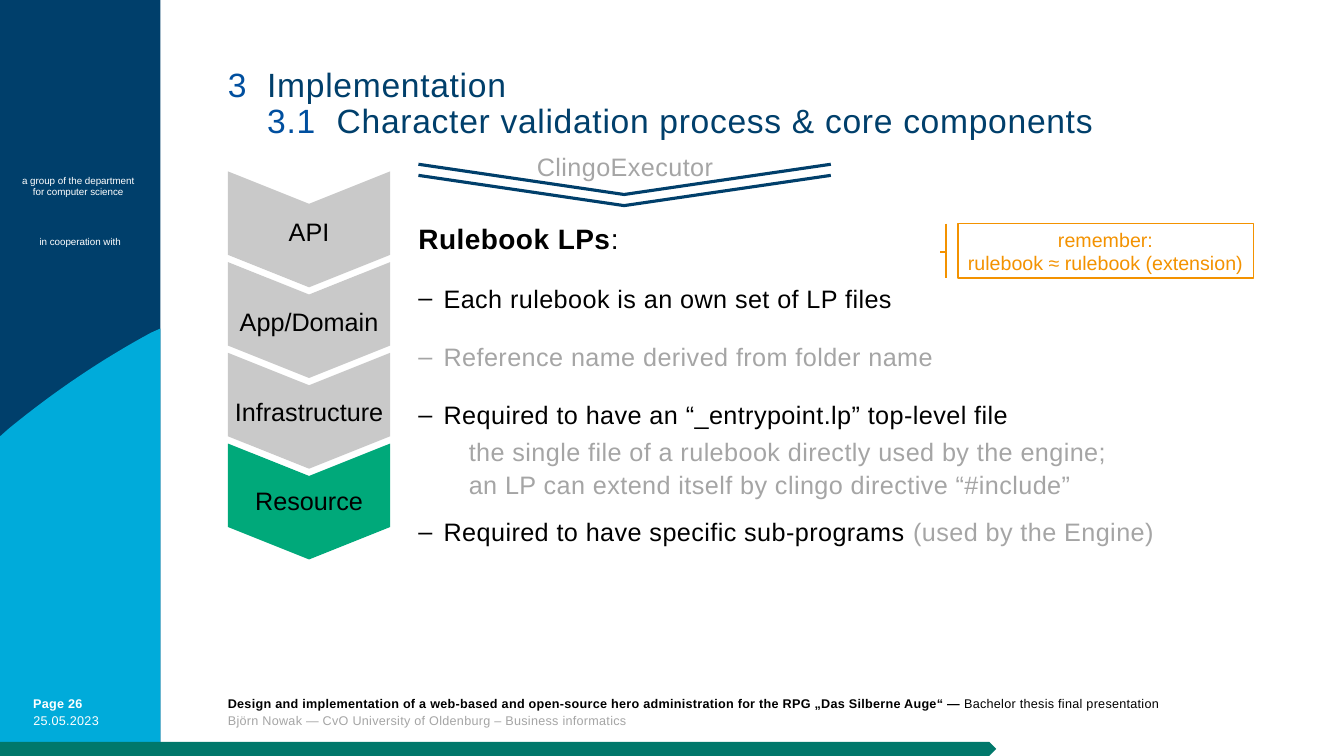
"""Build the rulebook slide of a thesis presentation about character validation."""
from dataclasses import dataclass
from typing import Optional

import lxml.etree
import pptx
import pptx.dml.color
import pptx.enum.shapes
import pptx.enum.text
import pptx.oxml.ns
import pptx.util

Inches = pptx.util.Inches
Pt = pptx.util.Pt
Shape = pptx.enum.shapes.MSO_SHAPE
Align = pptx.enum.text.PP_ALIGN
Anchor = pptx.enum.text.MSO_ANCHOR


@dataclass(frozen=True)
class Theme:
    font: str = "Arial"
    navy: str = "003F6B"
    blue: str = "004F9F"
    cyan: str = "00ABDA"
    teal: str = "00786B"
    green: str = "00A97A"
    orange: str = "F39200"
    silver: str = "C9C9C9"
    grey: str = "A5A5A5"
    black: str = "000000"
    white: str = "FFFFFF"
    title: float = 24
    heading: float = 20
    body: float = 18
    callout: float = 14
    footer: float = 9
    sidebar: float = 7


THEME = Theme()


@dataclass(frozen=True)
class Span:
    text: str
    color: str = THEME.black
    bold: bool = False


@dataclass(frozen=True)
class Para:
    spans: tuple[Span, ...]
    size: float = THEME.body
    tracking: int = 0
    align: Align = Align.LEFT
    line: object = 1.0
    before: float = 0
    after: float = 0
    bullet: str = ""
    tabs: tuple[float, ...] = ()


@dataclass(frozen=True)
class Block:
    at: tuple[float, float, float, float]
    paras: tuple[Para, ...]
    margins: tuple[float, float] = (0, 0)
    wrap: bool = True


@dataclass(frozen=True)
class Stage:
    label: str
    fill: str


def color(value: str) -> pptx.dml.color.RGBColor:
    """Turn a hex value into a colour."""
    return pptx.dml.color.RGBColor.from_string(value)


def assign(target, values: dict) -> None:
    """Set every attribute named in the values."""
    for name, value in values.items():
        setattr(target, name, value)


def place(box, at: tuple[float, ...]) -> None:
    """Move and size a box."""
    assign(box, dict(zip(("left", "top", "width", "height"), map(Inches, at))))


def add_mark(paragraph, item: Para) -> None:
    """Add the bullet and tab stops of a paragraph."""
    properties = paragraph._p.get_or_add_pPr()
    qn = pptx.oxml.ns.qn
    if item.bullet:
        properties.set("marL", str(Inches(0.25)))
        properties.set("indent", str(Inches(-0.25)))
        lxml.etree.SubElement(properties, qn("a:buFont")).set("typeface", THEME.font)
        lxml.etree.SubElement(properties, qn("a:buChar")).set("char", item.bullet)
    if item.tabs:
        stops = lxml.etree.SubElement(properties, qn("a:tabLst"))
        for position in item.tabs:
            stop = lxml.etree.SubElement(stops, qn("a:tab"))
            stop.set("pos", str(Inches(position)))
            stop.set("algn", "l")


def write(box, paras: tuple[Para, ...], margins: tuple[float, float] = (0, 0),
          wrap: bool = True, anchor: Anchor = Anchor.TOP) -> None:
    """Fill a box with formatted paragraphs."""
    frame = box.text_frame
    side, edge = map(Inches, margins)
    assign(frame, {"word_wrap": wrap, "vertical_anchor": anchor,
                   "auto_size": pptx.enum.text.MSO_AUTO_SIZE.NONE,
                   "margin_left": side, "margin_right": side,
                   "margin_top": edge, "margin_bottom": edge})
    for index, item in enumerate(paras):
        paragraph = frame.add_paragraph() if index else frame.paragraphs[0]
        add_mark(paragraph, item)
        assign(paragraph, {"alignment": item.align, "line_spacing": item.line,
                           "space_before": Pt(item.before), "space_after": Pt(item.after)})
        for span in item.spans:
            run = paragraph.add_run()
            run.text = span.text
            assign(run.font, {"name": THEME.font, "size": Pt(item.size), "bold": span.bold})
            run.font.color.rgb = color(span.color)
            run._r.get_or_add_rPr().set("spc", str(item.tracking))


def paint(shape, fill: Optional[str] = None, line: Optional[str] = None, width: float = 1) -> None:
    """Set the fill and line of a shape and drop its shadow."""
    shape.shadow.inherit = False
    if fill:
        shape.fill.solid()
        shape.fill.fore_color.rgb = color(fill)
    else:
        shape.fill.background()
    if line:
        shape.line.color.rgb = color(line)
        shape.line.width = Pt(width)
    else:
        shape.line.fill.background()


def add_preset(page, kind: Shape, at: tuple[float, ...], **look):
    """Add a painted preset shape."""
    shape = page.shapes.add_shape(kind, *map(Inches, at))
    paint(shape, **look)
    return shape


def add_outline(page, points: list[tuple[float, float]], closed: bool, **look) -> None:
    """Add a painted outline through points given in inches."""
    corners = [(Inches(x), Inches(y)) for x, y in points]
    builder = page.shapes.build_freeform(*corners[0])
    builder.add_line_segments(corners[1:], close=closed)
    paint(builder.convert_to_shape(), **look)


def bezier(controls: tuple[tuple[float, float], ...], steps: int = 16) -> list[tuple[float, float]]:
    """Return points along a cubic curve."""
    weights = [((1 - t) ** 3, 3 * t * (1 - t) ** 2, 3 * t * t * (1 - t), t ** 3)
               for t in (step / steps for step in range(steps + 1))]
    return [tuple(sum(w * point[axis] for w, point in zip(row, controls)) for axis in (0, 1))
            for row in weights]


def centred(text: str, size: float, ink: str, tracking: int = 0) -> Para:
    """Return a centred paragraph of one span."""
    return Para((Span(text, ink),), size, tracking, Align.CENTER)


def footer(*spans: Span) -> Para:
    """Return a footer paragraph."""
    return Para(spans, THEME.footer, 20, line=Pt(12))


def item(*spans: Span, before: float = 0) -> Para:
    """Return a bulleted body paragraph."""
    return Para(spans, THEME.body, 30, line=1.1, before=before, after=18, bullet="‒")


def note(text: str) -> Para:
    """Return a grey explanatory paragraph."""
    return Para((Span(text, THEME.grey),), THEME.body, 30, line=1.1)


def heading(number: str, text: str) -> Para:
    """Return a numbered title paragraph."""
    return Para((Span(number, THEME.blue), Span("\t" + text, THEME.navy)),
                THEME.title, 50, line=0.9, tabs=(0.39, 1.08))


STAGES = (Stage("API", THEME.silver), Stage("App/Domain", THEME.silver),
          Stage("Infrastructure", THEME.silver), Stage("Resource", THEME.green))
TITLE = (heading("3", "Implementation"),
         heading("\t3.1", "Character validation process & core components"))
REMINDER = tuple(centred(text, THEME.callout, THEME.orange)
                 for text in ("remember:", "rulebook ≈ rulebook (extension)"))
BLOCKS = (
    Block((0.33, 6.89, 1.14, 0.17), (footer(Span("Page 26", THEME.white, True)),), wrap=False),
    Block((0.33, 7.06, 0.98, 0.23), (footer(Span("25.05.2023", THEME.white)),), wrap=False),
    Block((2.26, 6.89, 9.41, 0.4), (
        footer(Span("Design and implementation of a web-based and open-source hero "
                    "administration for the RPG „Das Silberne Auge“ — ", bold=True),
               Span("Bachelor thesis final presentation")),
        footer(Span("Björn Nowak — CvO University of Oldenburg – Business informatics",
                    THEME.grey))), wrap=False),
    Block((0, 2.29, 1.59, 0.22), (centred("in cooperation with", THEME.sidebar, THEME.white),),
          (0.1, 0.05)),
    Block((-0.02, 1.68, 1.59, 0.34),
          tuple(centred(text, THEME.sidebar, THEME.white)
                for text in ("a group of the department", "for computer science")), (0.1, 0.05)),
    Block((4.15, 1.5, 4.1, 0.32), (centred("ClingoExecutor", THEME.body, THEME.grey, 30),)),
    Block((4.15, 2.16, 8.5, 3.56), (
        Para((Span("Rulebook LPs", bold=True), Span(":")), THEME.heading, 30, line=1.1, after=18),
        item(Span("Each rulebook is an own set of LP files")),
        item(Span("Reference name derived from folder name", THEME.grey)),
        item(Span("Required to have an “_entrypoint.lp” top-level file")),
        item(Span("Required to have specific sub-programs "),
             Span("(used by the Engine)", THEME.grey), before=41.5))),
    Block((4.65, 4.3, 6.67, 0.75), (
        note("the single file of a rulebook directly used by the engine;"),
        note("an LP can extend itself by clingo directive “#include”"))),
)


def main() -> None:
    """Draw the slide and save the deck."""
    deck = pptx.Presentation()
    assign(deck, {"slide_width": Inches(13.33), "slide_height": Inches(7.5)})
    page = deck.slides.add_slide(deck.slide_layouts[5])
    place(page.shapes.title, (2.26, 0.68, 9.41, 0.83))
    write(page.shapes.title, TITLE)

    add_preset(page, Shape.RECTANGLE, (0, 0, 1.59, 7.5), fill=THEME.navy)
    wave = bezier(((0.09, 4.25), (0.53, 3.89), (1, 3.57), (1.5, 3.3)))
    add_outline(page, [(1.59, 3.26), (1.59, 7.5), (0, 7.5), (0, 4.33), *wave], True,
                fill=THEME.cyan)
    add_preset(page, Shape.PENTAGON, (0, 7.36, 9.88, 0.14), fill=THEME.teal)

    for index, stage in enumerate(STAGES):
        chevron = add_preset(page, Shape.CHEVRON, (2.49, 1.47 + 0.9 * index, 1.15, 1.61),
                             fill=stage.fill)
        chevron.rotation = 90
        chevron.adjustments[0] = 0.28
    for index, stage in enumerate(STAGES):
        label = page.shapes.add_textbox(*map(Inches, (2.22, 2.1 + 0.89 * index, 1.69, 0.4)))
        write(label, (centred(stage.label, THEME.body, THEME.black),), (0.1, 0.05))

    for top in (1.63, 1.74):
        add_outline(page, [(4.15, top), (6.19, top + 0.3), (8.24, top)], False,
                    line=THEME.navy, width=2.25)

    for block in BLOCKS:
        box = page.shapes.add_textbox(*map(Inches, block.at))
        write(box, block.paras, block.margins, block.wrap)

    callout = add_preset(page, Shape.LINE_CALLOUT_2_BORDER_AND_ACCENT_BAR,
                         (9.5, 2.22, 2.93, 0.54), line=THEME.orange)
    for index, value in enumerate((0.52, -0.04, 0.52, -0.04, 0.52, -0.06)):
        callout.adjustments[index] = value
    write(callout, REMINDER, (0.1, 0.05), anchor=Anchor.MIDDLE)
    deck.save("out.pptx")


if __name__ == "__main__":
    main()
